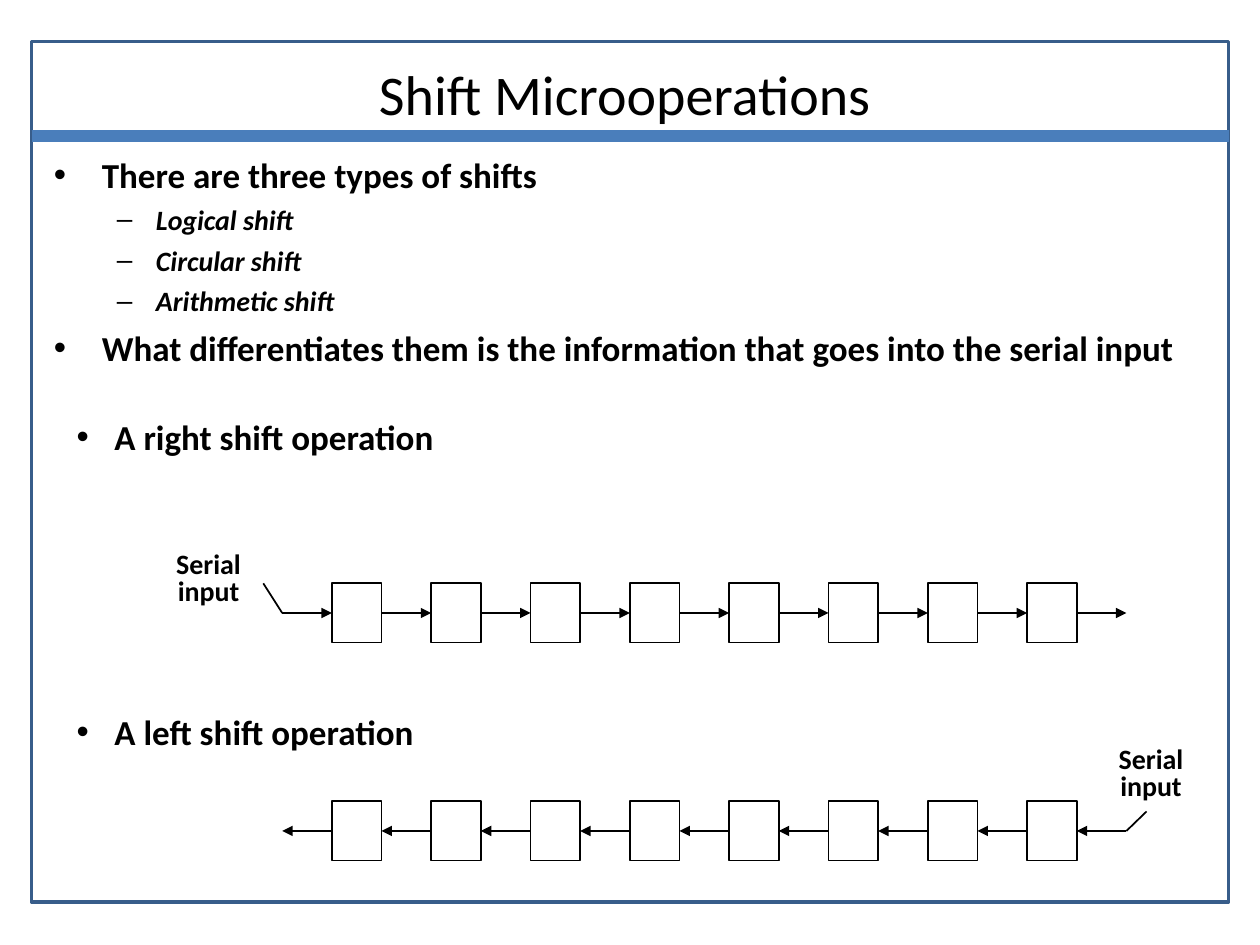
import dataclasses

import pptx
import pptx.dml.color
import pptx.enum.shapes
import pptx.enum.text
import pptx.oxml
import pptx.oxml.ns
import pptx.util

Inches = pptx.util.Inches
Pt = pptx.util.Pt
Align = pptx.enum.text.PP_ALIGN
Kind = pptx.enum.shapes.MSO_SHAPE
NS = pptx.oxml.ns.nsdecls("a")


@dataclasses.dataclass(frozen=True)
class Theme:
    font: str = "Calibri"
    ink: str = "000000"
    edge: str = "385D8A"
    bar: str = "4A7EBB"
    title: int = 32
    head: int = 20
    small: int = 16


THEME = Theme()


def tint(code):
    return pptx.dml.color.RGBColor.from_string(code)


def write(para, text, size=THEME.head, bold=True, italic=False, align=None,
          mark=None, left=0, hang=0, before=0, lines=None):
    """Fill one paragraph; mark is its bullet, left and hang are in inches."""
    if mark:
        props = para._p.get_or_add_pPr()
        props.set("marL", str(Inches(left)))
        props.set("indent", str(-Inches(hang)))
        for xml in (f'<a:buClr {NS}><a:srgbClr val="{THEME.ink}"/></a:buClr>',
                    f'<a:buFont {NS} typeface="Arial"/>',
                    f'<a:buChar {NS} char="{mark}"/>'):
            props.append(pptx.oxml.parse_xml(xml))
    para.alignment = align
    para.space_before = Pt(before)
    if lines:
        para.line_spacing = lines
    run = para.add_run()
    run.text = text
    font = run.font
    font.name, font.size = THEME.font, Pt(size)
    font.bold, font.italic = bold, italic
    font.color.rgb = tint(THEME.ink)


def add_text(slide, box, items):
    """Place a text box; items are pairs of wording and format."""
    frame = slide.shapes.add_textbox(*map(Inches, box)).text_frame
    frame.word_wrap = True
    for i, (text, look) in enumerate(items):
        para = frame.add_paragraph() if i else frame.paragraphs[0]
        write(para, text, **look)


def add_box(slide, box, color=THEME.ink, width=1):
    shape = slide.shapes.add_shape(Kind.RECTANGLE, *map(Inches, box))
    shape.shadow.inherit = False
    shape.fill.background()
    shape.line.color.rgb = tint(color)
    shape.line.width = Pt(width)


def add_line(slide, start, end, color=THEME.ink, width=1, arrow=False):
    wire = slide.shapes.add_connector(
        pptx.enum.shapes.MSO_CONNECTOR.STRAIGHT, *map(Inches, start + end))
    wire.line.color.rgb = tint(color)
    wire.line.width = Pt(width)
    if arrow:
        wire.line._get_or_add_ln().append(
            pptx.oxml.parse_xml(f'<a:tailEnd {NS} type="triangle"/>'))
    wire._element.spPr.append(pptx.oxml.parse_xml(f"<a:effectLst {NS}/>"))


def add_frame(slide, box, split):
    """Draw the border and the bar under the title, at height split."""
    x, _, w, _ = box
    add_box(slide, box, THEME.edge, 2)
    add_line(slide, (x, split), (x + w, split), THEME.bar, 6.75)


def add_title(slide, box, text):
    title = slide.shapes.title
    title.left, title.top, title.width, title.height = map(Inches, box)
    frame = title.text_frame
    frame.auto_size = pptx.enum.text.MSO_AUTO_SIZE.NONE
    frame.vertical_anchor = pptx.enum.text.MSO_ANCHOR.TOP
    write(frame.paragraphs[0], text, size=THEME.title, bold=False,
          align=Align.CENTER)


def add_points(slide, box):
    top = dict(mark="•", left=0.38, hang=0.38)
    sub = dict(mark="–", left=0.81, hang=0.31, before=4,
               size=THEME.small, italic=True)
    kinds = ("Logical shift", "Circular shift", "Arithmetic shift")
    add_text(slide, box, [
        ("There are three types of shifts", top),
        *((kind, sub) for kind in kinds),
        ("What differentiates them is the information that goes into the "
         "serial input", dict(top, before=5)),
    ])


def add_head(slide, box, text):
    add_text(slide, box, [(text, dict(mark="•", left=0.3, hang=0.3))])


def add_chain(slide, box, label, bend, right=True, count=8):
    """Draw a register whose cells and arrows share one width.

    The serial input enters from bend, and its label fills the label box.
    """
    x, y, w, h = box
    unit = w / (2 * count + 1)
    mid = y + h / 2
    for i in range(count):
        add_box(slide, (x + (2 * i + 1) * unit, y, unit, h))
    for i in range(count + 1):
        ends = [(x + 2 * i * unit, mid), (x + (2 * i + 1) * unit, mid)]
        start, end = ends if right else reversed(ends)
        add_line(slide, start, end, arrow=True)
    add_line(slide, (x if right else x + w, mid), bend)
    look = dict(size=THEME.small, align=Align.CENTER, lines=0.8)
    add_text(slide, label, [("Serial", look), ("input", look)])


def main():
    deck = pptx.Presentation()
    deck.slide_width, deck.slide_height = Inches(10), Inches(7.5)
    slide = deck.slides.add_slide(deck.slide_layouts[5])
    add_frame(slide, (0.25, 0.33, 9.5, 6.83), 1.08)
    add_title(slide, (0.75, 0.42, 8.42, 0.64), "Shift Microoperations")
    add_points(slide, (0.33, 1.17, 9.17, 2.08))
    add_head(slide, (0.51, 3.25, 5, 0.44), "A right shift operation")
    add_chain(slide, (2.24, 4.63, 6.7, 0.47), (1.25, 4.34, 0.81, 0.53),
              (2.09, 4.63))
    add_head(slide, (0.51, 5.59, 5, 0.44), "A left shift operation")
    add_chain(slide, (2.24, 6.36, 6.7, 0.47), (8.73, 5.89, 0.81, 0.53),
              (9.1, 6.44), right=False)
    deck.save("out.pptx")


if __name__ == "__main__":
    main()
